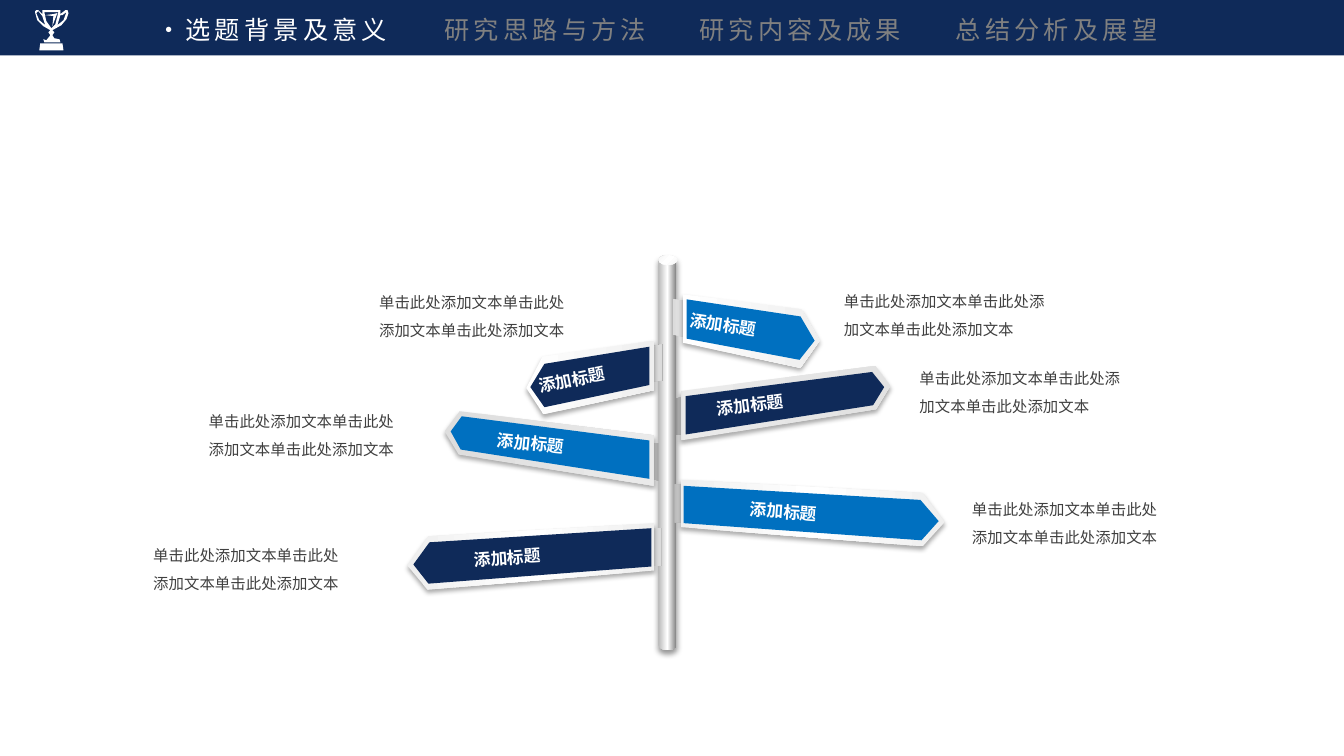
from lxml import etree
from pptx import Presentation
from pptx.dml.color import RGBColor
from pptx.enum.shapes import MSO_SHAPE as SHAPE
from pptx.enum.text import MSO_AUTO_SIZE as FIT
from pptx.oxml.ns import qn
from pptx.util import Pt

PX = 9144  # 100 px to the inch
FONT = "Noto Sans CJK SC"
C = {"navy": "0F2A59", "blue": "0070C0", "white": "FFFFFF", "muted": "808080", "body": "404040"}
LABEL = "添加标题"
NOTE = "单击此处添加文本" * 3

SATIN = [(0, "EFEFEF"), (50, "FFFFFF"), (100, "EFEFEF")]
GLOSS = [(0, "FFFFFF"), (100, "EFEFEF")]
STEEL = [(0, "CBCBCB"), (100, "DDDDDD")]
SIGN_SHADOW = (32, 3.5, 2.2)


def paint(sp, fill, angle=0, shadow=None):
    """Fill with a hex colour or (percent, hex) stops; shadow is (opacity, blur, distance)."""
    sp.line.fill.background()
    sp.shadow.inherit = False
    spPr = sp._element.spPr
    if isinstance(fill, str):
        sp.fill.solid()
        sp.fill.fore_color.rgb = RGBColor.from_string(fill)
    else:
        sp.fill.gradient()
        sp.fill.gradient_angle = 360 - angle
        stops = spPr.find(qn("a:gradFill")).find(qn("a:gsLst"))
        for gs in list(stops):
            stops.remove(gs)
        for pos, color in fill:
            gs = etree.SubElement(stops, qn("a:gs"), pos=str(pos * 1000))
            etree.SubElement(gs, qn("a:srgbClr"), val=color)
    if shadow:
        opacity, blur, dist = shadow
        outer = etree.SubElement(spPr.find(qn("a:effectLst")), qn("a:outerShdw"),
                                 blurRad=str(Pt(blur)), dist=str(Pt(dist)),
                                 dir="5400000", algn="t", rotWithShape="0")
        clr = etree.SubElement(outer, qn("a:srgbClr"), val="000000")
        etree.SubElement(clr, qn("a:alpha"), val=str(opacity * 1000))


def add_text(box, runs, size, bold=False, rot=0, inset=(10, 5), leading=None, spacing=0, tabs=()):
    """Add a one-paragraph text box; runs are (text, hex colour) pairs."""
    tb = s.shapes.add_textbox(*(v * PX for v in box))
    tb.rotation = rot
    tf = tb.text_frame
    tf.word_wrap = True
    tf.auto_size = FIT.SHAPE_TO_FIT_TEXT
    tf.margin_left = tf.margin_right = inset[0] * PX
    tf.margin_top = tf.margin_bottom = inset[1] * PX
    p = tf.paragraphs[0]
    if leading:
        p.line_spacing = leading
    if tabs:
        stops = etree.SubElement(p._p.get_or_add_pPr(), qn("a:tabLst"))
        for x in tabs:
            etree.SubElement(stops, qn("a:tab"), pos=str(x * PX), algn="l")
    for text, color in runs:
        r = p.add_run()
        r.text = text
        r.font.size = Pt(size)
        r.font.bold = bold
        r.font.name = FONT
        r.font.color.rgb = RGBColor.from_string(color)
        rPr = r.font._element
        etree.SubElement(rPr, qn("a:ea"), typeface=FONT)
        if spacing:
            rPr.set("spc", str(spacing * 100))


prs = Presentation()
prs.slide_width, prs.slide_height = 1333 * PX, 750 * PX
s = prs.slides.add_slide(prs.slide_layouts[6])

# Navigation bar
bar = s.shapes.add_shape(SHAPE.RECTANGLE, 0, 0, 1333 * PX, 55 * PX)
paint(bar, C["navy"])
add_text((145, 9, 1188, 40),
         [("·选题背景及意义", C["white"]),
          ("\t研究思路与方法\t研究内容及成果\t总结分析及展望", C["muted"])],
         18, spacing=3, tabs=(286, 539, 793))

# Trophy: outline, openings and base
trophy = [
    [(35, 13), (35, 11), (36, 10), (38, 10), (42, 14), (42, 10), (60, 10), (60, 14), (65, 10),
     (67, 10), (68, 13), (66, 19), (61, 25), (52, 30), (54, 32), (52, 35), (54, 38), (59, 39),
     (60, 42), (44, 42), (43, 39), (46, 40), (50, 35), (48, 32), (50, 30), (43, 26), (37, 20)],
    [(36, 13), (39, 20), (45, 25), (42, 16), (38, 11)],
    [(62, 15), (60, 15), (57, 25), (63, 20), (66, 12)],
    [(44, 12), (46, 21), (51, 28), (55, 24), (58, 12)],
    [(53, 14), (45, 15), (53, 16), (52, 26), (57, 13)],
    [(40, 43), (62, 43), (63, 50), (39, 50)],
]
fb = s.shapes.build_freeform(*trophy[0][0], scale=PX)
for contour in trophy:
    fb.move_to(*contour[0])
    fb.add_line_segments(contour[1:], close=True)
paint(fb.convert_to_shape(), C["white"])

# Signs: frame, panel, panel colour, frame gradient,
# bracket (box, rotation, flipped, skew, gradient), label (box, rotation), note box
signs = [
    ([(675, 388), (675, 437), (869, 406), (883, 383), (868, 363)],
     [(680, 393), (680, 431), (866, 402), (877, 384), (865, 369)],
     "navy", [(0, "EAEAEA"), (100, "E2E2E2")],
     ((654, 410, 38, 6), 270, True, 0.23, STEEL),
     ((701, 384, 124, 30), 352.8), (905, 353, 220, 60)),
    ([(649, 432), (649, 482), (455, 451), (441, 428), (456, 408)],
     [(644, 437), (644, 475), (457, 446), (447, 428), (458, 413)],
     "blue", [(0, "DEDEDE"), (100, "EAEAEA")],
     ((633, 455, 38, 6), 90, False, 0.19, STEEL),
     ((483, 428, 148, 30), 5.9), (200, 396, 207, 60)),
    ([(649, 338), (649, 387), (539, 411), (522, 385), (538, 354)],
     [(644, 344), (644, 382), (540, 404), (526, 384), (540, 361)],
     "navy", GLOSS,
     ((632, 354, 38, 13), 90, True, 0.19, [(0, "999999"), (7, "DBDBDB"), (100, "EAEAEA")]),
     ((524, 358, 124, 30), 348.7), (369, 278, 207, 60)),
    ([(649, 519), (649, 566), (424, 585), (404, 561), (425, 532)],
     [(646, 524), (646, 562), (425, 579), (410, 560), (426, 538)],
     "navy", SATIN,
     ((633, 538, 38, 9), 90, True, 0.04, [(1, "949494"), (7, "DBDBDB"), (100, "EAEAEA")]),
     ((460, 536, 147, 30), 356), (145, 529, 207, 60)),
    ([(675, 476), (675, 523), (915, 542), (937, 518), (915, 489)],
     [(678, 482), (678, 519), (914, 536), (931, 517), (913, 496)],
     "blue", SATIN,
     ((654, 495, 38, 9), 270, False, 0.04, [(0, "9F9F9F"), (7, "B8B8B8"), (100, "EAEAEA")]),
     ((734, 495, 165, 30), 3.8), (957, 483, 204, 60)),
    ([(677, 292), (677, 340), (794, 365), (813, 338), (795, 307)],
     [(681, 297), (681, 336), (793, 357), (808, 338), (794, 314)],
     "blue", GLOSS,
     ((655, 309, 38, 13), 270, False, 0.19, [(0, "DBDBDB"), (100, "EAEAEA")]),
     ((674, 310, 124, 30), 8.5), (830, 277, 220, 60)),
]
SIGNS_BEHIND_POLE = 2

for i, (frame, panel, color, sheen, bracket, label, note) in enumerate(signs):
    if i == SIGNS_BEHIND_POLE:
        pole = s.shapes.add_shape(SHAPE.CAN, 653 * PX, 253 * PX, 18 * PX, 392 * PX)
        pole.adjustments[0] = 0.55
        paint(pole, [(0, "B8B8B8"), (50, "FFFFFF"), (100, "808080")], shadow=(40, 4, 3))
        cap = s.shapes.add_shape(SHAPE.OVAL, 653 * PX, 253 * PX, 19 * PX, 10 * PX)
        paint(cap, [(0, "F6F6F6"), (50, "FFFFFF"), (100, "F6F6F6")], angle=45)

    box, rot, flipped, skew, metal = bracket
    sp = s.shapes.add_shape(SHAPE.PARALLELOGRAM, *(v * PX for v in box))
    sp.rotation = rot
    sp.adjustments[0] = skew
    if flipped:
        sp._element.spPr.xfrm.set("flipH", "1")
    paint(sp, metal, angle=90)

    for points, fill, shadow in ((frame, sheen, SIGN_SHADOW), (panel, C[color], None)):
        fb = s.shapes.build_freeform(*points[0], scale=PX)
        fb.add_line_segments(points[1:], close=True)
        paint(fb.convert_to_shape(), fill, shadow=shadow)

    add_text(label[0], [(LABEL, C["white"])], 12, bold=True, rot=label[1])
    add_text(note, [(NOTE, C["body"])], 11, inset=(7, 4), leading=1.5)

prs.save("out.pptx")
